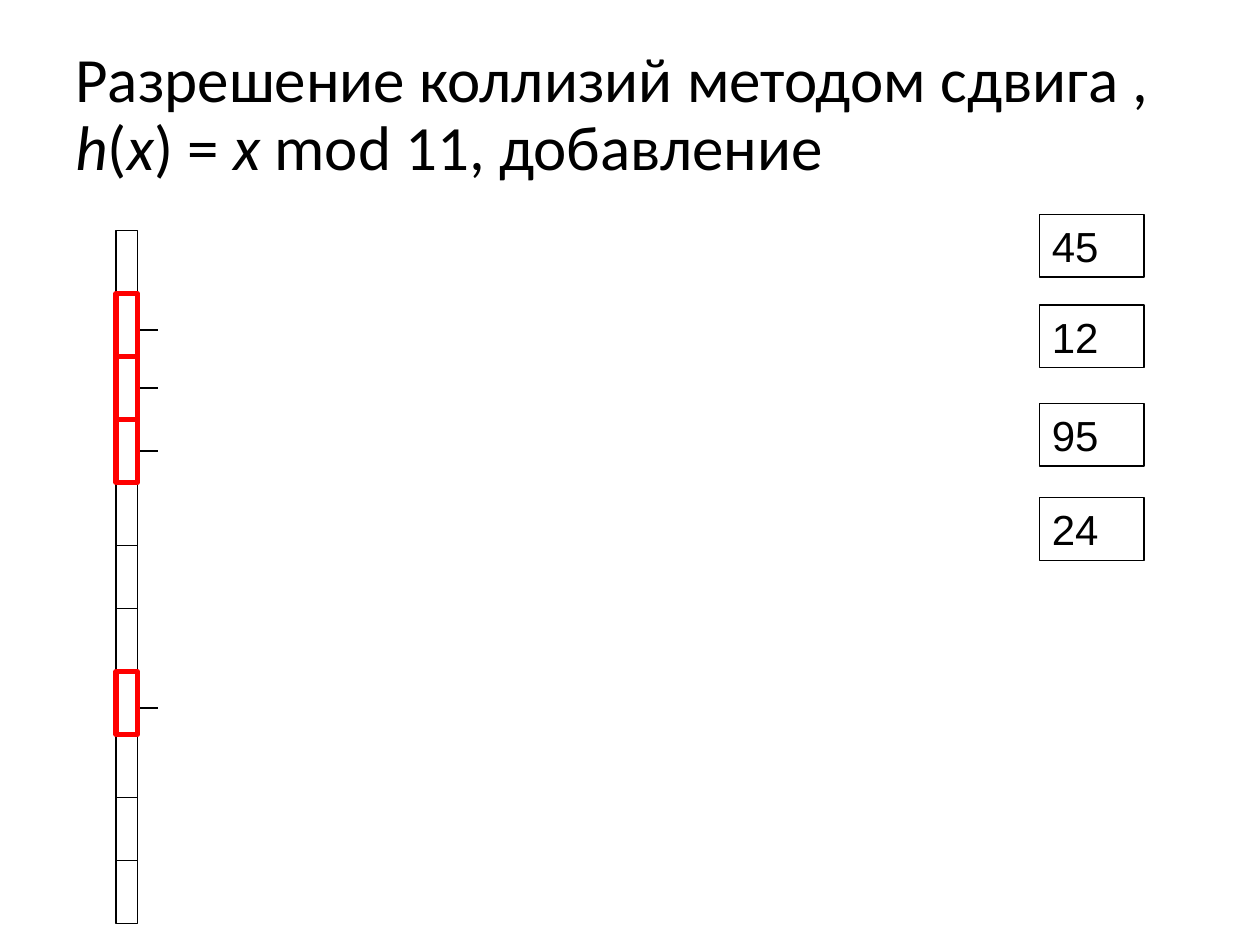
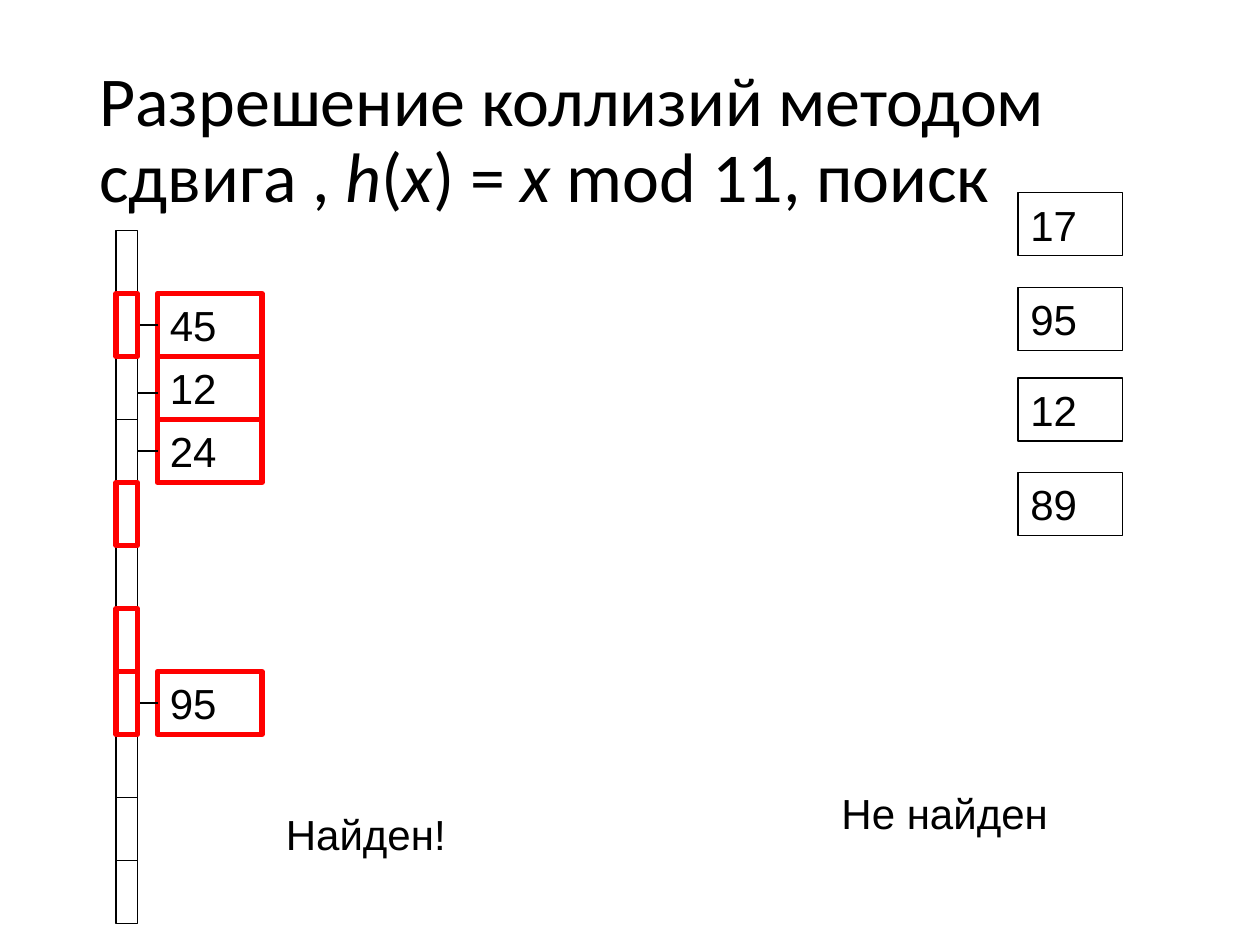
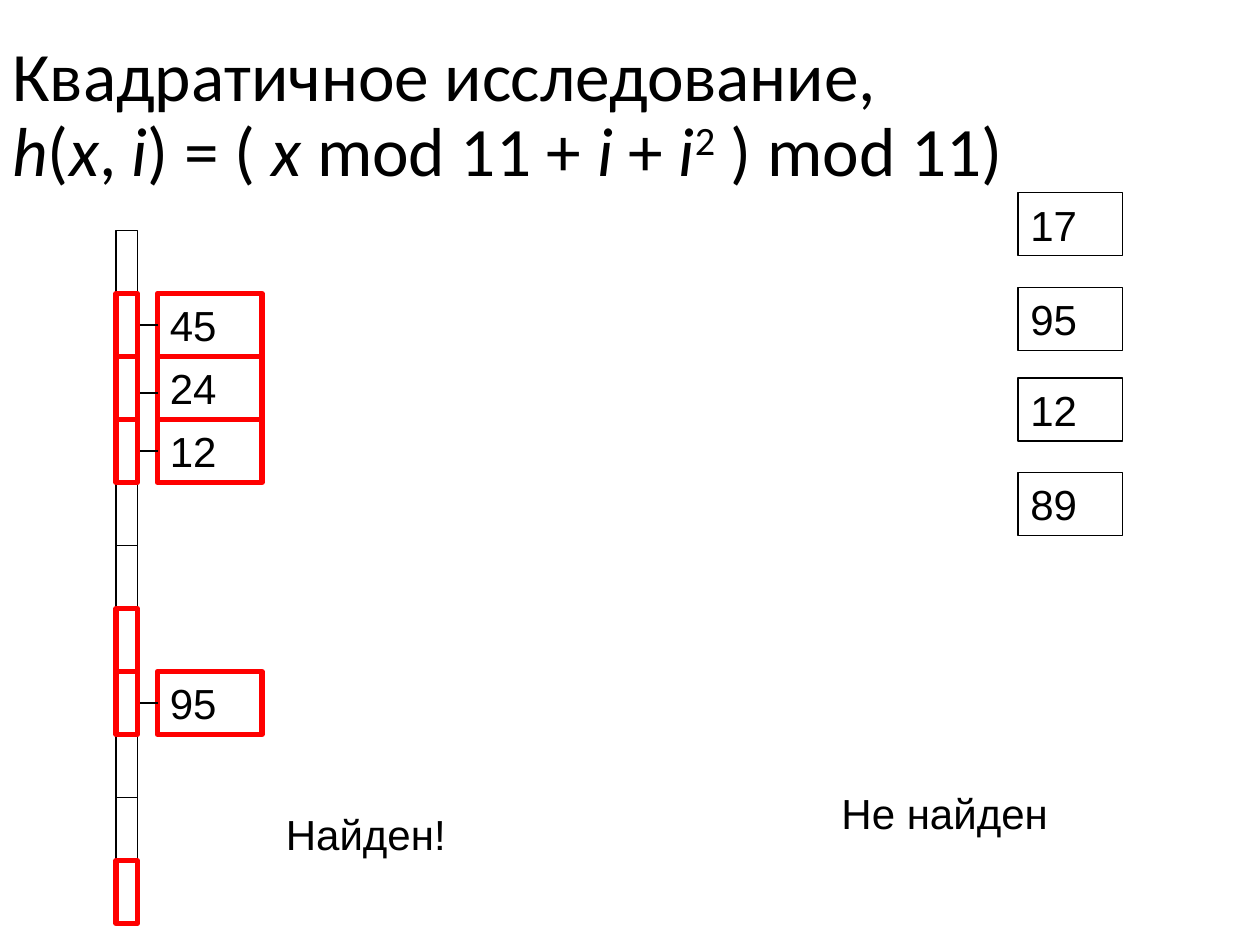
from lxml import etree
from pptx import Presentation
from pptx.dml.color import RGBColor
from pptx.enum import shapes, text
from pptx.oxml.ns import qn
from pptx.util import Inches, Pt

BLACK, RED = "000000", "FF0000"
CELL_X, CELL_W, CELL_H, TABLE_TOP, CELLS = 0.92, 0.17, 0.5, 1.83, 11
VALUE_X, VALUE_W = 1.25, 0.83

SEARCH_KEYS = {"17": 1.53, "95": 2.28, "12": 3, "89": 3.75}
VERDICTS = [("Не найден", 6.58, 6.2, 2.75), ("Найден!", 2.17, 6.37, 1.58)]

# In titles, *...* is italic, *^...* superscript and *\n* a line break.
# "stored" maps a cell to its value, "links" maps a cell to the height of its link;
# None stands for the middle of the cell.
SLIDES = [
    dict(title="Разрешение коллизий методом сдвига , *h*(*x*) = *x *mod 11, добавление",
         title_at=(0.5, 0.3, 9.25, 1.25), title_size=36,
         key_x=8.25, keys={"45": 1.7, "12": 2.42, "95": 3.2, "24": 3.95},
         stored={}, links={1: 2.62, 2: None, 3: None, 7: 5.62},
         probed=[1, 2, 3, 7], verdicts=[]),
    dict(title="Разрешение коллизий методом сдвига , *h*(*x*) = *x *mod 11, поиск",
         title_at=(0.69, 0.4, 8.62, 1.45), title_size=40,
         key_x=8.08, keys=SEARCH_KEYS,
         stored={1: "45", 2: "12", 3: "24", 7: "95"},
         links={1: None, 2: 3.12, 3: None, 7: None},
         probed=[1, 4, 6, 7], verdicts=VERDICTS),
    dict(title="Квадратичное исследование, *\n**h*(*x*, *i*) = ( *x *mod 11 + *i* + *i**^2* ) mod 11)",
         title_at=(0, 0.3, 10, 1.25), title_size=39.6,
         key_x=8.08, keys=SEARCH_KEYS,
         stored={1: "45", 2: "24", 3: "12", 7: "95"},
         links={1: None, 2: 3.12, 3: None, 7: None},
         probed=[1, 2, 3, 6, 7, 10], verdicts=VERDICTS),
]


def set_text(sp, label):
    tf = sp.text_frame
    tf.word_wrap = True
    tf.vertical_anchor = text.MSO_ANCHOR.MIDDLE
    p = tf.paragraphs[0]
    p.text = label
    p.alignment = text.PP_ALIGN.LEFT
    p.font.name, p.font.size = "Arial", Pt(24)
    p.font.color.rgb = RGBColor.from_string(BLACK)


def add_box(parent, x, y, w, color=BLACK, width=0.75, label=""):
    """Add an unfilled rectangle, one cell high, to a slide or group."""
    sp = parent.shapes.add_shape(shapes.MSO_SHAPE.RECTANGLE,
                                 Inches(x), Inches(y), Inches(w), Inches(CELL_H))
    sp.shadow.inherit = False
    sp.fill.background()
    sp.line.color.rgb = RGBColor.from_string(color)
    sp.line.width = Pt(width)
    if label:
        set_text(sp, label)
    return sp


prs = Presentation()
prs.slide_width, prs.slide_height = Inches(10), Inches(7.5)
cell_tops = [TABLE_TOP + i * CELL_H for i in range(CELLS)]

for data in SLIDES:
    s = prs.slides.add_slide(prs.slide_layouts[6])

    # Title
    tf = s.shapes.add_textbox(*map(Inches, data["title_at"])).text_frame
    tf.word_wrap = True
    tf.vertical_anchor = text.MSO_ANCHOR.MIDDLE
    p = tf.paragraphs[0]
    p.line_spacing = 0.9
    p.font.name, p.font.size = "Calibri", Pt(data["title_size"])
    p.font.color.rgb = RGBColor.from_string(BLACK)
    for i, part in enumerate(data["title"].split("*")):
        if part == "\n":
            p.add_line_break()
        elif part:
            r = p.add_run()
            r.text = part.lstrip("^")
            if part.startswith("^"):
                r.font._element.set("baseline", "30000")
            elif i % 2:
                r.font.italic = True

    # Hash table, stored values and the keys to process
    table = s.shapes.add_group_shape()
    cells = [add_box(table, CELL_X, top, CELL_W) for top in cell_tops]
    values = {i: add_box(s, VALUE_X, cell_tops[i], VALUE_W, RED, 3, label)
              for i, label in data["stored"].items()}
    for label, top in data["keys"].items():
        add_box(s, data["key_x"], top, VALUE_W, label=label)

    # Links from cells to values
    for i, height in data["links"].items():
        y = Inches(height or cell_tops[i] + CELL_H / 2)
        link = s.shapes.add_connector(shapes.MSO_CONNECTOR.STRAIGHT,
                                      Inches(CELL_X + CELL_W), y, Inches(VALUE_X), y)
        link.line.color.rgb = RGBColor.from_string(BLACK)
        link.line.width = Pt(0.75)
        etree.SubElement(link._element.spPr, qn("a:effectLst"))
        if height is None:
            link.begin_connect(cells[i], 3)
            if i in values:
                link.end_connect(values[i], 1)

    # Probed cells and search results
    for i in data["probed"]:
        add_box(s, CELL_X, cell_tops[i], CELL_W, RED, 3)
    for label, x, y, w in data["verdicts"]:
        set_text(s.shapes.add_textbox(Inches(x), Inches(y), Inches(w), Inches(0.5)), label)

prs.save("out.pptx")
